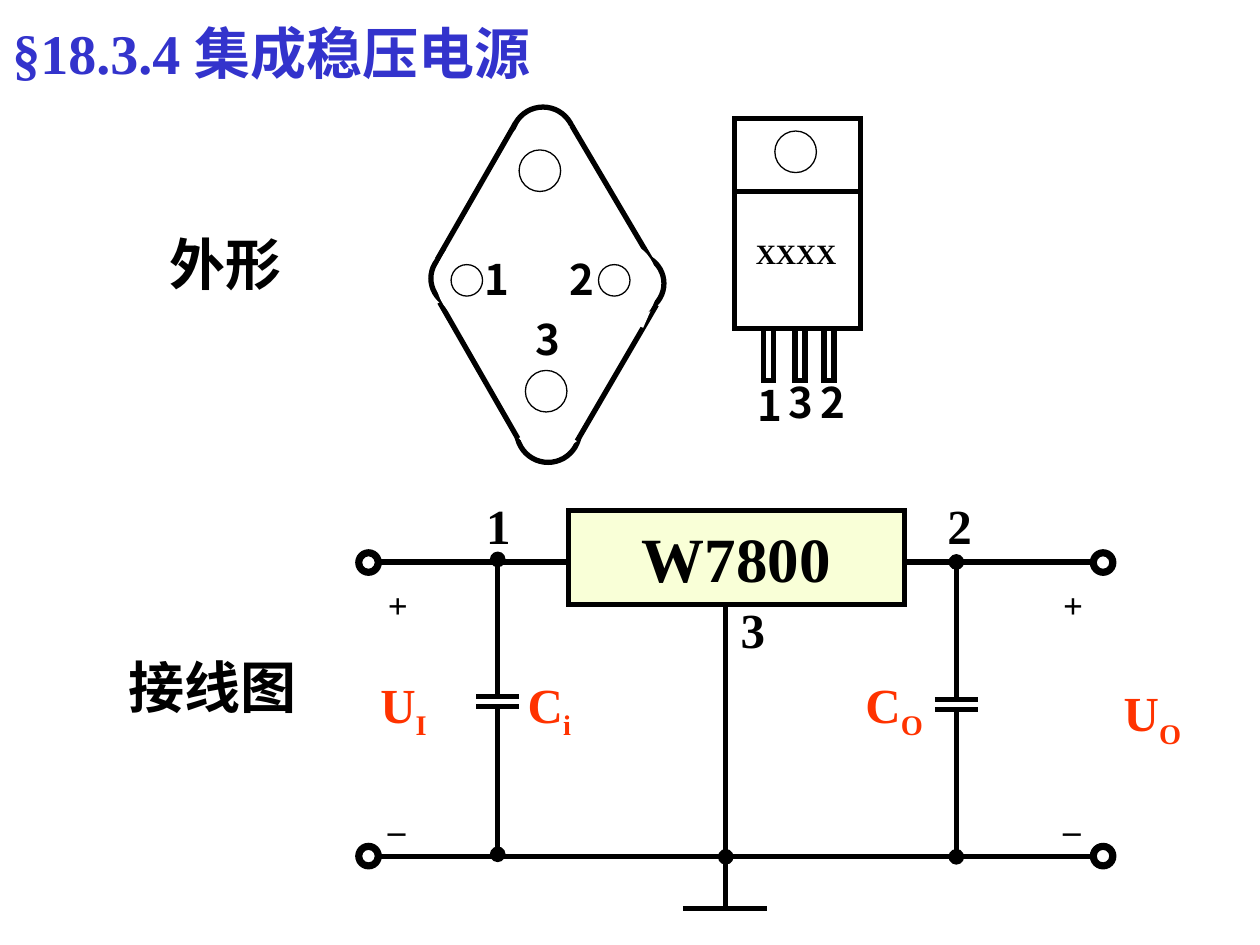
import pptx
import pptx.dml.color
import pptx.enum.shapes
import pptx.enum.text
import pptx.oxml
import pptx.oxml.ns
import pptx.util

RGBColor = pptx.dml.color.RGBColor
BLACK = RGBColor(0x00, 0x00, 0x00)
WHITE = RGBColor(0xFF, 0xFF, 0xFF)
BLUE = RGBColor(0x33, 0x33, 0xCC)
RED = RGBColor(0xFF, 0x33, 0x00)
CREAM = RGBColor(0xF9, 0xFF, 0xD7)

SERIF = "Times New Roman"
SANS = "Noto Sans CJK SC"
SCALE = 9144  # EMU in one px, 100 px to the inch
KIND = pptx.enum.shapes.MSO_SHAPE
ALIGN = pptx.enum.text.PP_ALIGN
AUTO_SIZE = pptx.enum.text.MSO_AUTO_SIZE


def emu(*lengths):
    return [pptx.util.Emu(round(length * SCALE)) for length in lengths]


def add_xml(parent, tag, **attributes):
    child = pptx.oxml.parse_xml(f"<a:{tag} {pptx.oxml.ns.nsdecls('a')}/>")
    for name, value in attributes.items():
        child.set(name, value)
    parent.append(child)


def style_span(span, size, color, font):
    span.font.size = pptx.util.Pt(size)
    span.font.bold = True
    span.font.color.rgb = color
    span.font.name = font
    add_xml(span.font._element, "ea", typeface=SANS)


class Area:
    """A part of the page whose contents are placed from its left top corner."""

    def __init__(self, page, left, top):
        self.shapes, self.left, self.top = page.shapes, left, top

    def place(self, left, top, width, height):
        return emu(self.left + left, self.top + top, width, height)

    def shape(self, kind, box, fill=None, line=3):
        shape = self.shapes.add_shape(kind, *self.place(*box))
        shape.shadow.inherit = False
        if fill is None:
            shape.fill.background()
        else:
            shape.fill.solid()
            shape.fill.fore_color.rgb = fill
        if line:
            shape.line.color.rgb = BLACK
            shape.line.width = pptx.util.Pt(line)
            add_xml(shape.line._get_or_add_ln(), "miter", lim="800000")
        else:
            shape.line.fill.background()
        return shape

    def circle(self, left, top, size, fill=None, line=0.75):
        self.shape(KIND.OVAL, (left, top, size, size), fill, line)

    def line(self, x1, y1, x2, y2, dot=None):
        ends = emu(self.left + x1, self.top + y1, self.left + x2, self.top + y2)
        line = self.shapes.add_connector(
            pptx.enum.shapes.MSO_CONNECTOR.STRAIGHT, *ends)
        line.line.color.rgb = BLACK
        line.line.width = pptx.util.Pt(3)
        if dot:
            add_xml(line.line._get_or_add_ln(), dot, type="oval")
        add_xml(line._element.spPr, "effectLst")

    def text(self, box, *spans, size=32, color=BLACK, font=SERIF,
             align=ALIGN.LEFT, wrap=True):
        frame = self.shapes.add_textbox(*self.place(*box)).text_frame
        frame.word_wrap = wrap
        frame.auto_size = AUTO_SIZE.SHAPE_TO_FIT_TEXT
        para = frame.paragraphs[0]
        para.alignment = align
        para.text = spans[0]
        for words in spans[1:]:
            para.add_run().text = words
        for span in para.runs:
            style_span(span, size, color, font)
        return frame


def draw_title(area):
    area.text((0, 0, 465, 64), "§18.3.4 集成稳压电源", color=BLUE)


def draw_metal_can(area):
    def corner(left, top, size, cover):
        area.circle(left, top, size, WHITE, 3)
        area.shape(KIND.OVAL, cover, WHITE, None)

    # Rounded corners, each half covered, and the edges between them
    corner(66, 5, 50, (62, 14, 60, 50))
    corner(70, 237, 50, (66, 228, 60, 50))
    area.line(118, 270, 181, 162)
    area.line(71, 268, 9, 160)
    area.line(114, 20, 183, 137)
    corner(2, 118, 46, (6, 108, 58, 67))
    area.line(69, 18, 7, 126)
    area.shape(KIND.RECTANGLE, (131, 130, 50, 42), WHITE, None).rotation = 23.6
    corner(141, 122, 46, (124, 112, 58, 67))
    # Holes and pins
    for hole in ((72, 39, 33), (77, 214, 33), (18, 130, 25), (135, 130, 25)):
        area.circle(*hole, WHITE)
    for number, left, top in (("1", 35, 116), ("3", 75, 164), ("2", 102, 116)):
        area.text((left, top, 67, 50), number, size=24, font=SANS)


def draw_tab_package(area):
    # Body with its mounting tab
    area.shape(KIND.RECTANGLE, (3, 4, 100, 167))
    area.line(3, 62, 103, 62)
    area.circle(35, 14, 33)
    area.text((10, 93, 85, 37), "XXXX", size=16)
    # Pins and their numbers
    for pin_left in (26, 51, 74):
        area.shape(KIND.RECTANGLE, (pin_left, 171, 8, 41))
    for number, left, top in (("1", 11, 206), ("3", 36, 204), ("2", 61, 204)):
        area.text((left, top, 39, 50), number, size=24, font=SANS, wrap=False)


def draw_capacitor(area, x, top):
    upper, lower = top + 109, top + 117
    area.line(x, top, x, upper, dot="headEnd")
    area.line(x, lower, x, top + 234, dot="tailEnd")
    for plate in (upper, lower):
        area.line(x - 17, plate, x + 17, plate)


def draw_polarity(area, left):
    frame = area.text((left, 55, 36, 237), "+", size=20)
    minus = frame.add_paragraph()
    minus.text = "_"
    minus.space_before = pptx.util.Pt(81)
    style_span(minus.runs[0], 20, BLACK, SERIF)
    for para in frame.paragraphs:
        para.line_spacing = 1.7


def draw_circuit(area):
    # Wires and terminals
    area.line(21, 300, 587, 300)
    area.line(437, 66, 587, 66)
    area.line(21, 66, 170, 66)
    for left in (4, 587):
        for top in (58, 291):
            ring = area.shape(KIND.DONUT, (left, top, 17, 17))
            ring.adjustments[0] = 0.083
    draw_capacitor(area, 115, 64)
    draw_capacitor(area, 479, 66)
    # Regulator
    regulator = area.shape(KIND.RECTANGLE, (171, 25, 267, 75), CREAM)
    regulator.text_frame.text = "W7800"
    regulator.text_frame.word_wrap = False
    para = regulator.text_frame.paragraphs[0]
    para.alignment = ALIGN.CENTER
    style_span(para.runs[0], 36, BLACK, SERIF)
    # Ground
    area.line(296, 100, 296, 300, dot="tailEnd")
    area.line(296, 300, 296, 341)
    area.line(262, 341, 329, 341)
    # Labels
    for letter, index, left, top, width in (
            ("C", "O", 397, 150, 75), ("C", "i", 129, 150, 84),
            ("U", "I", 12, 150, 80), ("U", "O", 602, 157, 111)):
        frame = area.text((left, top, width, 63), letter, index, size=28,
                          color=RED)
        frame.paragraphs[0].runs[1].font._element.set("baseline", "-25000")
    for number, left, top in (("1", 96, 8), ("2", 462, 8), ("3", 298, 91)):
        area.text((left, top, 39, 57), number, size=28, wrap=False)
    for left in (18, 554):
        draw_polarity(area, left)


def main():
    deck = pptx.Presentation()
    deck.slide_width, deck.slide_height = emu(1000, 750)
    page = deck.slides.add_slide(deck.slide_layouts[6])
    draw_title(Area(page, 0, 10))
    draw_metal_can(Area(page, 340, 80))
    draw_tab_package(Area(page, 580, 90))
    Area(page, 125, 177).text((0, 0, 150, 64), "外形")
    draw_circuit(Area(page, 280, 380))
    Area(page, 69, 513).text((0, 0, 200, 64), "接线图", align=ALIGN.CENTER)
    deck.save("out.pptx")


if __name__ == "__main__":
    main()
